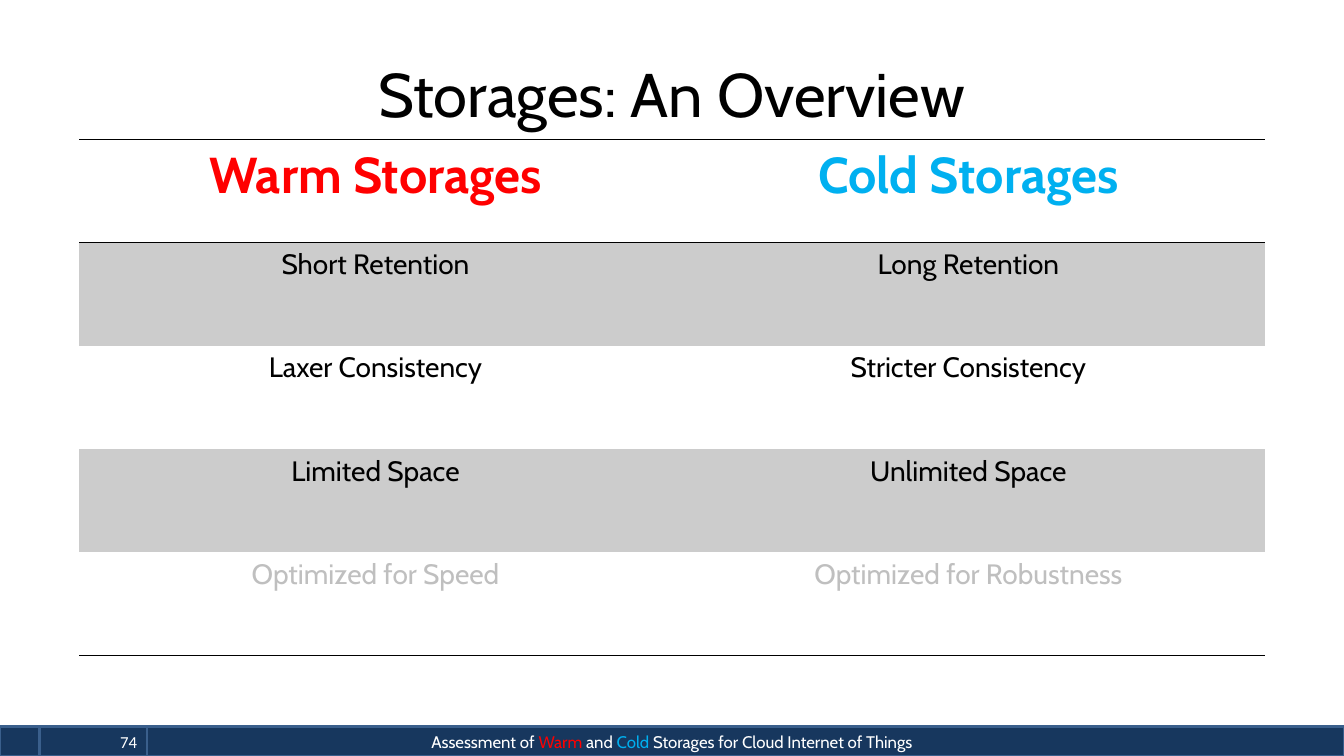
"""Build the storage overview slide."""
from dataclasses import dataclass

from lxml import etree
from pptx import Presentation
from pptx.dml.color import RGBColor
from pptx.enum.shapes import MSO_SHAPE
from pptx.enum.text import MSO_ANCHOR, PP_ALIGN
from pptx.oxml.ns import qn
from pptx.util import Pt

RECT = MSO_SHAPE.RECTANGLE
MIDDLE = MSO_ANCHOR.MIDDLE
CENTER, RIGHT = PP_ALIGN.CENTER, PP_ALIGN.RIGHT
PLAIN = "{2D5ABB26-0587-4C30-8999-92F81FD0307C}"


@dataclass(frozen=True)
class Theme:
    face: str = "Cabin"
    digit: str = "Calibri"
    black: str = "000000"
    white: str = "FFFFFF"
    warm: str = "FF0000"
    cold: str = "00B0F0"
    band: str = "CCCCCC"
    faint: str = "BFBFBF"
    navy: str = "17375E"
    edge: str = "3A5F8C"
    title: int = 44
    head: int = 36
    body: int = 20
    foot: int = 12


THEME = Theme()
ROWS = [
    ("Warm Storages", "Cold Storages"),
    ("Short Retention", "Long Retention"),
    ("Laxer Consistency", "Stricter Consistency"),
    ("Limited Space", "Unlimited Space"),
    ("Optimized for Speed", "Optimized for Robustness"),
]
FOOTER = [
    ("Assessment of ", THEME.white),
    ("Warm", THEME.warm),
    (" and ", THEME.white),
    ("Cold", THEME.cold),
    (" Storages for Cloud Internet of Things", THEME.white),
]


def rgb(code):
    return RGBColor.from_string(code)


def write(frame, runs, size, align=CENTER, face=THEME.face, bold=False):
    para = frame.paragraphs[0]
    para.alignment = align
    para.font.name, para.font.size, para.font.bold = face, Pt(size), bold
    for text, color in runs:
        run = para.add_run()
        run.text = text
        run.font.color.rgb = rgb(color)


def add_title(slide, text):
    frame = slide.shapes.add_textbox(Pt(48), Pt(21.6), Pt(864), Pt(90)).text_frame
    frame.word_wrap = True
    frame.vertical_anchor = MIDDLE
    write(frame, [(text, THEME.black)], THEME.title)


def add_rule(cell, side):
    line = etree.Element(qn(f"a:{side}"), w=str(Pt(1)))
    fill = etree.SubElement(line, qn("a:solidFill"))
    etree.SubElement(fill, qn("a:srgbClr"), val=THEME.black)
    cell._tc.get_or_add_tcPr().insert(0, line)


def fill_cell(cell, text, row, col):
    head, last = row == 0, row == len(ROWS) - 1
    color = THEME.faint if last else THEME.black
    if head:
        color = (THEME.warm, THEME.cold)[col]
    size = THEME.head if head else THEME.body
    write(cell.text_frame, [(text, color)], size, bold=head)
    if row % 2:
        cell.fill.solid()
        cell.fill.fore_color.rgb = rgb(THEME.band)
    else:
        cell.fill.background()
    if head or last:
        add_rule(cell, "lnB")
    if head:
        add_rule(cell, "lnT")


def add_grid(slide):
    count = len(ROWS)
    table = slide.shapes.add_table(
        count, 2, Pt(56.5), Pt(99.7), Pt(847), Pt(73.7 * count)
    ).table
    table.horz_banding = False
    table._tbl.tblPr.find(qn("a:tableStyleId")).text = PLAIN
    for row, texts in enumerate(ROWS):
        for col, text in enumerate(texts):
            fill_cell(table.cell(row, col), text, row, col)


def add_bar(slide, left, width, runs, align=CENTER, face=THEME.face):
    bar = slide.shapes.add_shape(RECT, Pt(left), Pt(519.1), Pt(width), Pt(20.9))
    bar.shadow.inherit = False
    bar.fill.solid()
    bar.fill.fore_color.rgb = rgb(THEME.navy)
    bar.line.color.rgb = rgb(THEME.edge)
    bar.line.width = Pt(2)
    bar.text_frame.vertical_anchor = MIDDLE
    write(bar.text_frame, runs, THEME.foot, align, face)


def main():
    deck = Presentation()
    deck.slide_width, deck.slide_height = Pt(960), Pt(540)
    slide = deck.slides.add_slide(deck.slide_layouts[6])
    add_title(slide, "Storages: An Overview")
    add_grid(slide)
    add_bar(slide, 0, 960, FOOTER)
    add_bar(slide, 28, 77, [("74", THEME.white)], RIGHT, THEME.digit)
    deck.save("out.pptx")


if __name__ == "__main__":
    main()
